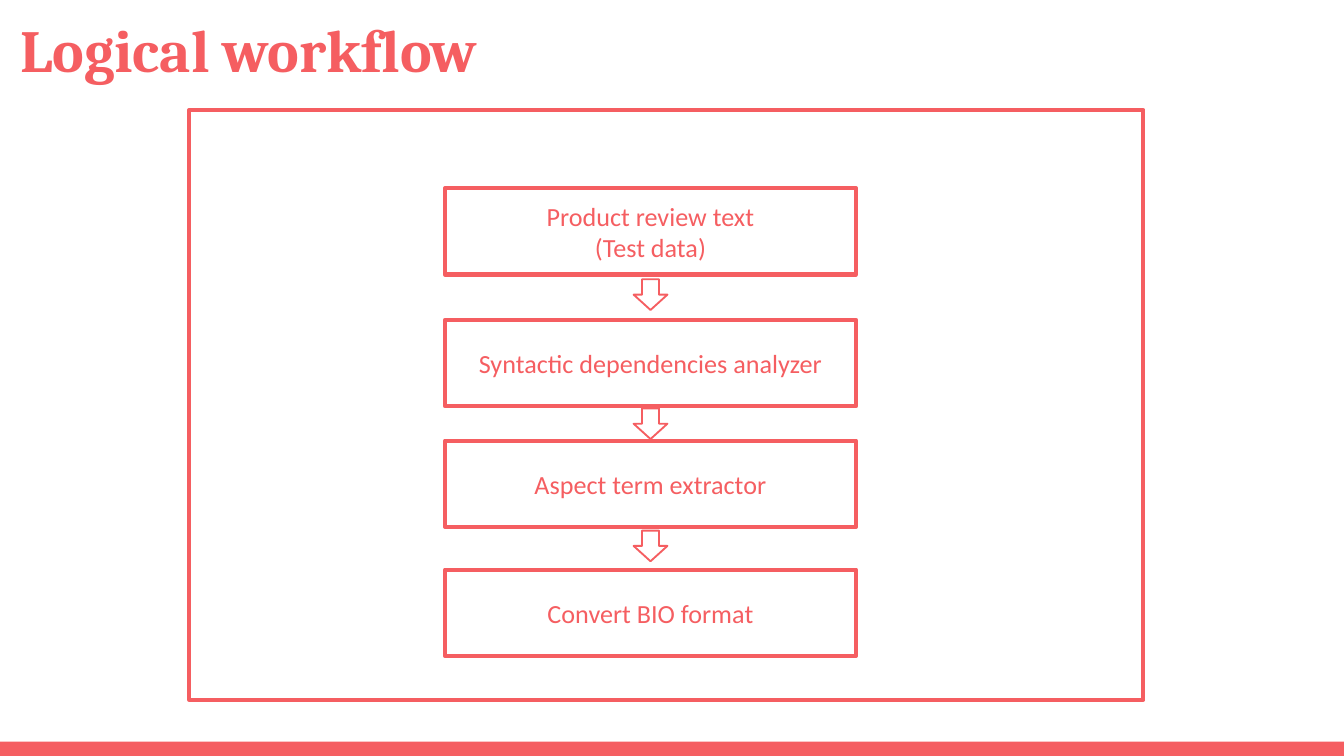
from dataclasses import dataclass

from pptx import Presentation
from pptx.dml.color import RGBColor
from pptx.enum.shapes import MSO_SHAPE
from pptx.enum.text import MSO_ANCHOR, PP_ALIGN
from pptx.util import Cm, Pt

RECTANGLE = MSO_SHAPE.RECTANGLE
DOWN_ARROW = MSO_SHAPE.DOWN_ARROW
MIDDLE = MSO_ANCHOR.MIDDLE
CENTER = PP_ALIGN.CENTER


@dataclass(frozen=True)
class Theme:
    coral: RGBColor = RGBColor(0xF5, 0x5E, 0x61)
    white: RGBColor = RGBColor(0xFF, 0xFF, 0xFF)
    title_font: str = "Cambria"
    body_font: str = "Calibri"
    title_size: Pt = Pt(32)
    body_size: Pt = Pt(14)
    box_line: Pt = Pt(2.25)
    arrow_line: Pt = Pt(1)


THEME = Theme()


def add_block(kind, left, top, width, height, fill=None, line=None):
    """Add a preset shape, measured in cm, with an optional fill and coral outline."""
    block = slide.shapes.add_shape(kind, Cm(left), Cm(top), Cm(width), Cm(height))
    block.shadow.inherit = False
    if fill is None:
        block.fill.background()
    else:
        block.fill.solid()
        block.fill.fore_color.rgb = fill
    if line is None:
        block.line.fill.background()
    else:
        block.line.color.rgb = THEME.coral
        block.line.width = line
    return block


def write(paragraph, text, **font_format):
    run = paragraph.add_run()
    run.text = text
    run.font.color.rgb = THEME.coral
    for attribute, value in font_format.items():
        setattr(run.font, attribute, value)


prs = Presentation()
prs.slide_width, prs.slide_height = Cm(25.4), Cm(14.29)
slide = prs.slides.add_slide(prs.slide_layouts[6])

# Footer band and title
add_block(RECTANGLE, 0, 14.02, 25.4, 0.27, fill=THEME.coral)

title = slide.shapes.add_textbox(Cm(0.13), Cm(0), Cm(23.67), Cm(1.85)).text_frame
title_format = {
    "word_wrap": True,
    "margin_left": Cm(0.25),
    "margin_right": Cm(0.25),
    "margin_top": Cm(0.25),
    "margin_bottom": Cm(0.25),
}
for attribute, value in title_format.items():
    setattr(title, attribute, value)
write(title.paragraphs[0], "Logical workflow",
      name=THEME.title_font, size=THEME.title_size, bold=True)

# Workflow steps, from top to bottom
step_left, step_width, step_height = 8.41, 7.77, 1.63
steps = [
    (3.56, ["Product review text", "(Test data)"]),
    (6.05, ["Syntactic dependencies analyzer"]),
    (8.33, ["Aspect term extractor"]),
    (10.77, ["Convert BIO format"]),
]
step_format = {
    "word_wrap": True,
    "vertical_anchor": MIDDLE,
    "margin_left": Cm(0.18),
    "margin_right": Cm(0.18),
    "margin_top": Cm(0.1),
    "margin_bottom": Cm(0.1),
}
for top, lines in steps:
    step = add_block(RECTANGLE, step_left, top, step_width, step_height,
                     THEME.white, THEME.box_line).text_frame
    for attribute, value in step_format.items():
        setattr(step, attribute, value)
    for number, text in enumerate(lines):
        paragraph = step.add_paragraph() if number else step.paragraphs[0]
        paragraph.alignment = CENTER
        write(paragraph, text, name=THEME.body_font, size=THEME.body_size)

# Frame around the workflow
add_block(RECTANGLE, 3.58, 2.08, 18.03, 11.15, line=THEME.box_line)

# Arrows between the steps
arrow_width, arrow_height = 0.64, 0.58
arrow_left = step_left + (step_width - arrow_width) / 2
for top in (5.28, 7.72, 10.03):
    add_block(DOWN_ARROW, arrow_left, top, arrow_width, arrow_height,
              THEME.white, THEME.arrow_line)

prs.save("out.pptx")
